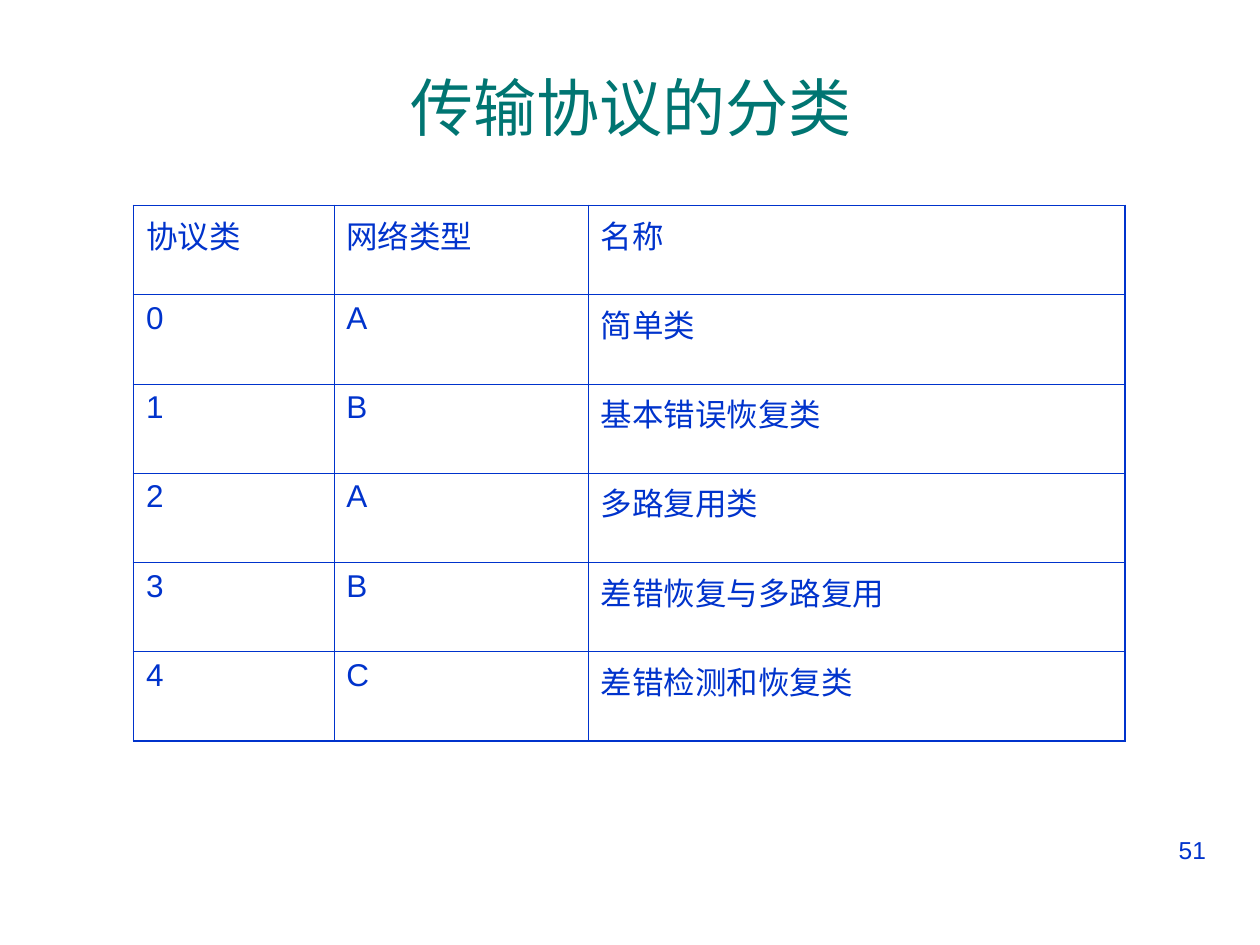
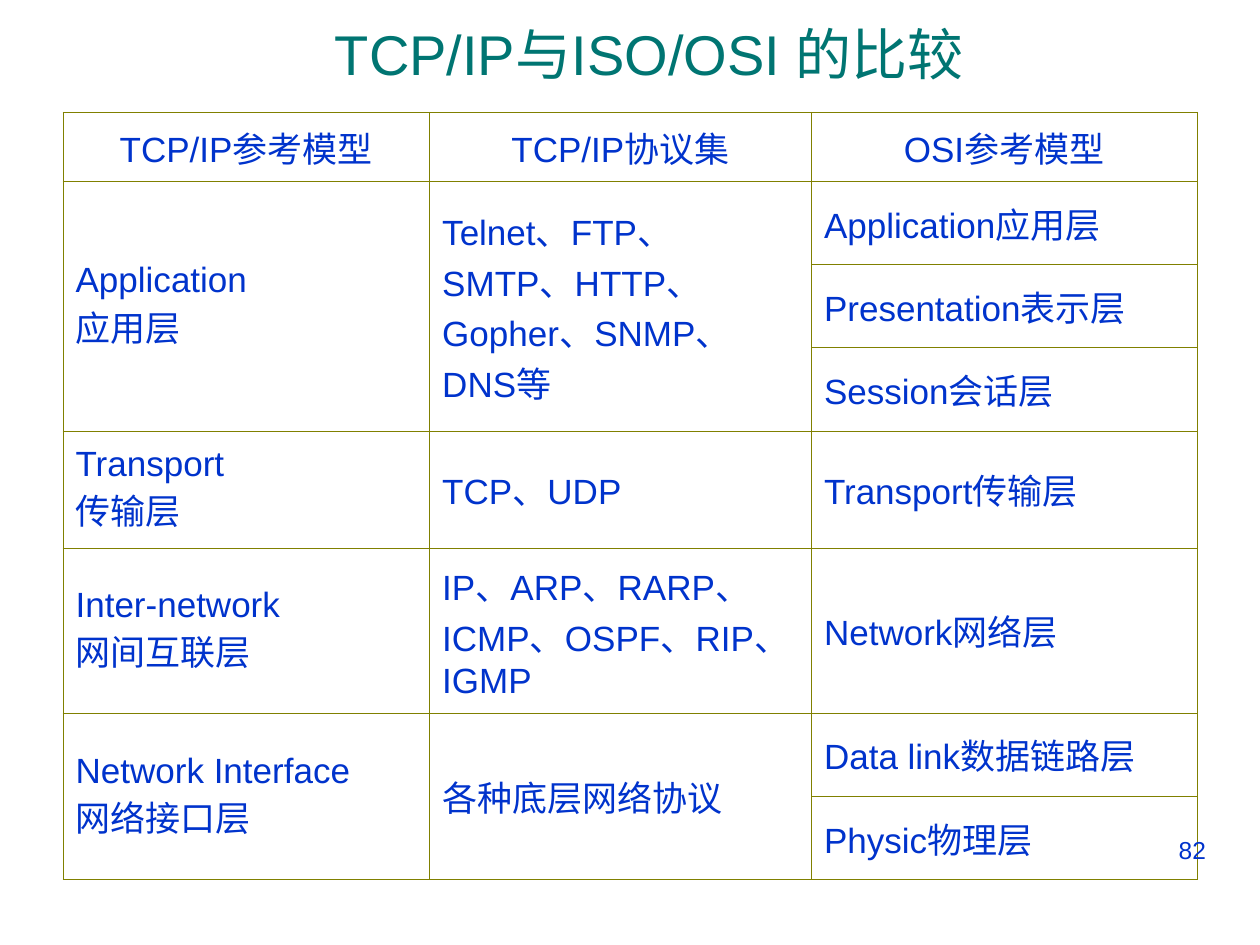
from pptx import Presentation
from pptx.dml.color import RGBColor
from pptx.enum.text import MSO_ANCHOR, PP_ALIGN
from pptx.oxml.ns import qn
from pptx.util import Inches, Pt
from lxml.etree import SubElement

FONT = "Arial"
BLUE = "0033CC"
TEAL = "007572"
OLIVE = "808000"
THIN, THICK = 0.45, 1.08
PAGE_NUMBER_BOX = (7.17, 6.58, 2.5, 0.52)

PROTOCOL_CLASSES = [
    ("协议类", "网络类型", "名称"),
    ("0", "A", "简单类"),
    ("1", "B", "基本错误恢复类"),
    ("2", "A", "多路复用类"),
    ("3", "B", "差错恢复与多路复用"),
    ("4", "C", "差错检测和恢复类"),
]

MODEL_HEADINGS = ("TCP/IP参考模型", "TCP/IP协议集", "OSI参考模型")
MODEL_LAYERS = [
    ("Application\n应用层", "Telnet、FTP、SMTP、HTTP、Gopher、SNMP、DNS等",
     ("Application应用层", "Presentation表示层", "Session会话层")),
    ("Transport\n传输层", "TCP、UDP", ("Transport传输层",)),
    ("Inter-network\n网间互联层", "IP、ARP、RARP、ICMP、OSPF、RIP、IGMP", ("Network网络层",)),
    ("Network Interface\n网络接口层", "各种底层网络协议",
     ("Data link数据链路层", "Physic物理层")),
]


def color(hex_value):
    return RGBColor.from_string(hex_value)


def write_text(frame, text, size=18, fill=BLUE, align=PP_ALIGN.LEFT, before=0):
    frame.word_wrap = True
    for index, line in enumerate(text.split("\n")):
        paragraph = frame.add_paragraph() if index else frame.paragraphs[0]
        paragraph.alignment = align
        paragraph.space_before = Pt(before)
        run = paragraph.add_run()
        run.text = line
        run.font.name = FONT
        run.font.size = Pt(size)
        run.font.color.rgb = color(fill)


def add_label(slide, box, text, anchor=MSO_ANCHOR.TOP, **text_format):
    frame = slide.shapes.add_textbox(*map(Inches, box)).text_frame
    frame.vertical_anchor = anchor
    write_text(frame, text, **text_format)


def add_page(deck, title, title_box, title_size, title_align):
    slide = deck.slides.add_slide(deck.slide_layouts[6])
    add_label(slide, title_box, title, anchor=MSO_ANCHOR.MIDDLE,
              size=title_size, fill=TEAL, align=title_align)
    return slide


def add_page_number(slide, number):
    add_label(slide, PAGE_NUMBER_BOX, str(number), size=14, align=PP_ALIGN.RIGHT)


def add_grid(slide, box, column_widths, row_heights, line_color, outer_width):
    table = slide.shapes.add_table(
        len(row_heights), len(column_widths), *map(Inches, box)).table
    table.first_row = table.horz_banding = False
    for column, width in zip(table.columns, column_widths):
        column.width = Inches(width)
    for row, height in zip(table.rows, row_heights):
        row.height = Inches(height)
    last_row, last_column = len(row_heights) - 1, len(column_widths) - 1
    for r in range(last_row + 1):
        for c in range(last_column + 1):
            cell = table.cell(r, c)
            outer_edges = {"L": c == 0, "R": c == last_column,
                           "T": r == 0, "B": r == last_row}
            for side, is_outer in outer_edges.items():
                draw_border(cell, side, line_color, outer_width if is_outer else THIN)
            cell.fill.background()
    return table


def draw_border(cell, side, line_color, width):
    border = SubElement(cell._tc.get_or_add_tcPr(), qn(f"a:ln{side}"), w=str(Pt(width)))
    solid = SubElement(border, qn("a:solidFill"))
    SubElement(solid, qn("a:srgbClr"), val=line_color)


def fill_cell(cell, text, anchor=MSO_ANCHOR.MIDDLE, **text_format):
    cell.vertical_anchor = anchor
    write_text(cell.text_frame, text, **text_format)


def protocol_class_table(slide, box):
    row_count = len(PROTOCOL_CLASSES)
    table = add_grid(slide, box, (1.59, 2.02, 4.26), [box[3] / row_count] * row_count,
                     BLUE, THICK)
    for r, entries in enumerate(PROTOCOL_CLASSES):
        for c, entry in enumerate(entries):
            fill_cell(table.cell(r, c), entry, anchor=MSO_ANCHOR.TOP, before=4.5)


def model_comparison_table(slide, box):
    row_heights = (0.55, 0.66, 0.66, 0.66, 0.93, 1.31, 0.66, 0.66)
    table = add_grid(slide, box, (2.91, 3.03, 3.06), row_heights, OLIVE, THIN)
    for c, heading in enumerate(MODEL_HEADINGS):
        fill_cell(table.cell(0, c), heading, size=20, align=PP_ALIGN.CENTER)
    top = 1
    for layer, protocols, osi_layers in MODEL_LAYERS:
        bottom = top + len(osi_layers) - 1
        for c, entry in enumerate((layer, protocols)):
            if bottom > top:
                table.cell(top, c).merge(table.cell(bottom, c))
            fill_cell(table.cell(top, c), entry, size=20)
        for r, osi_layer in enumerate(osi_layers, top):
            fill_cell(table.cell(r, 2), osi_layer, size=20)
        top = bottom + 1


def main():
    deck = Presentation()
    deck.slide_width, deck.slide_height = Inches(10), Inches(7.5)

    classes = add_page(deck, "传输协议的分类", (2.09, 0.52, 5.83, 0.64), 36, PP_ALIGN.CENTER)
    protocol_class_table(classes, (1.06, 1.63, 7.87, 4.25))
    add_page_number(classes, 51)

    comparison = add_page(deck, "TCP/IP与ISO/OSI 的比较", (2.56, 0, 5.6, 0.84), 32,
                          PP_ALIGN.LEFT)
    model_comparison_table(comparison, (0.5, 0.89, 9, 6.09))
    add_page_number(comparison, 82)

    deck.save("out.pptx")


if __name__ == "__main__":
    main()
